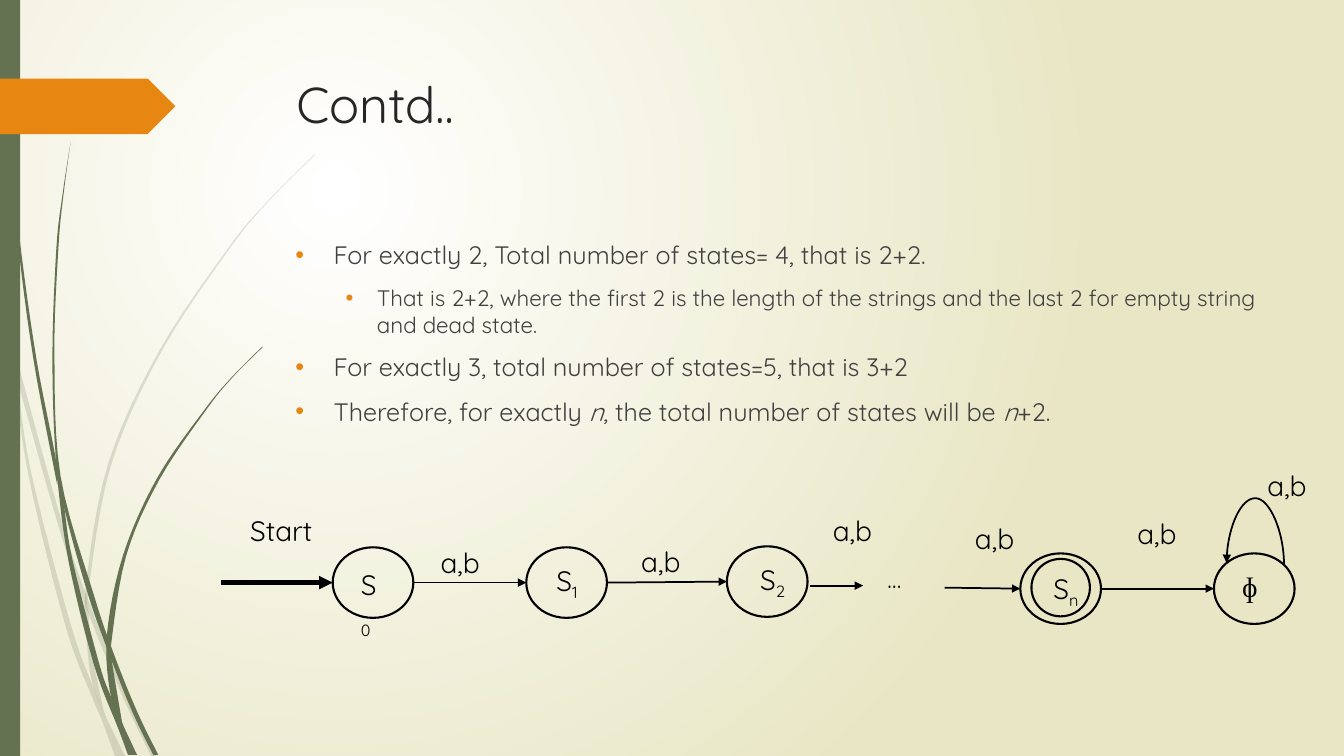
"""Build a slide on the number of states in an automaton for strings of exact length."""
from lxml.etree import SubElement
from pptx import Presentation
from pptx.dml.color import RGBColor
from pptx.enum.shapes import MSO_CONNECTOR, MSO_SHAPE
from pptx.oxml.ns import qn
from pptx.util import Inches, Pt

THEME = dict(green="647252", orange="E78712", ink="000000", title="262626", body="404040",
             white="FFFFFF", cream="E8E6C4", font="Quicksand", serif="Times New Roman",
             head=36, main=18, sub=16, mark=20)
WIDE, HIGH = 13.33, 7.5
OVAL = (0.8, 0.7)

BULLETS = [
    (0, [("For exactly 2, Total number of states= 4, that is 2+2.", False)]),
    (1, [("That is 2+2, where the first 2 is the length of the strings and the last 2 "
          "for empty string and dead state.", False)]),
    (0, [("For exactly 3, total number of states=5, that is 3+2", False)]),
    (0, [("Therefore, for exactly", False), (" n", True),
         (", the total number of states will be ", False), ("n", True), ("+2.", False)]),
]
LEVELS = [(0.38, 0.38, "main"), (0.81, 0.31, "sub")]

STATES = [
    ("S", "0", 3.70, 5.78, -0.22, -0.2, 0.4),
    ("S", "1", 5.62, 5.78, -0.2, -0.24, 0.49),
    ("S", "2", 7.61, 5.77, -0.17, -0.24, 0.49),
    ("S", "n", 10.52, 5.84, -0.17, -0.22, 0.49),
    ("\u0278", "", 12.44, 5.84, -0.22, -0.24, 0.49),
]
ARROWS = [
    (2.19, 5.78, 3.3, 5.78, 3.25),
    (4.11, 5.78, 5.22, 5.78, 1.25),
    (6.03, 5.78, 7.21, 5.77, 1.25),
    (8.03, 5.81, 8.56, 5.81, 1.25),
    (9.37, 5.83, 10.12, 5.84, 1.25),
    (10.93, 5.84, 12.04, 5.84, 1.25),
]
LABELS = [
    ("Start", 2.48, 5.05, "mark"), ("a,b", 4.37, 5.36, "mark"), ("a,b", 6.36, 5.35, "mark"),
    ("a,b", 8.26, 5.05, "mark"), ("\u2026", 8.8, 5.54, "main"), ("a,b", 9.67, 5.12, "mark"),
    ("a,b", 11.28, 5.07, "mark"), ("a,b", 12.57, 4.6, "mark"),
]

PALE = [
    ([(0, 2.99), (0.1, 3.44), (0.17, 3.76), (0.58, 5.22), (0.84, 5.99), (1.23, 6.94), (1.5, 7.5)],
     [(1.55, 7.5), (1.27, 6.92), (0.92, 6.07), (0.62, 5.2), (0.14, 3.45), (0, 2.82)]),
    ([(0.11, 3.5), (0.28, 4.7), (0.65, 6.21), (0.92, 6.93), (1.01, 7.14), (1.14, 7.5)],
     [(1.24, 7.5), (1.05, 7.11), (0.93, 6.83), (0.7, 6.19), (0.31, 4.69), (0.17, 3.76)]),
    ([(3.12, 1.53), (2.68, 1.97), (2.28, 2.44), (1.58, 3.48), (1.07, 4.61), (0.85, 5.84),
      (0.87, 6.46), (0.93, 6.83), (1.05, 7.11)],
     [(1.03, 7.06), (0.91, 6.46), (0.88, 6.1), (0.88, 5.84), (1.1, 4.62), (1.6, 3.49),
      (2.29, 2.45), (2.68, 1.98), (3.12, 1.54)]),
]
DARK = [
    ([(0.03, 0), (0.07, 1.1), (0.17, 2.33), (0.33, 3.55), (0.56, 4.77)],
     [(0.57, 4.81), (0.55, 4.53), (0.36, 3.55), (0.19, 2.32), (0.08, 1.09), (0.04, 0)]),
    ([(0.7, 1.41), (0.62, 1.93), (0.56, 2.45), (0.52, 3.49), (0.55, 4.49), (0.64, 5.05),
      (0.88, 5.92), (1.11, 6.56), (1.32, 7.08), (1.52, 7.49)],
     [(1.57, 7.49), (1.36, 7.06), (1.13, 6.49), (0.93, 5.9), (0.6, 4.72), (0.54, 3.49),
      (0.58, 2.45), (0.63, 1.93), (0.7, 1.41)]),
    ([(0.55, 4.49), (0.57, 4.77), (0.68, 5.57), (0.93, 6.59), (1.17, 7.22), (1.27, 7.49)],
     [(1.36, 7.49), (1.22, 7.19), (1.1, 6.91), (0.98, 6.57), (0.72, 5.56), (0.64, 5.05)]),
    ([(2.6, 3.44), (2.31, 3.73), (2.04, 4.05), (1.56, 4.74), (1.22, 5.51), (1.06, 6.31),
      (1.1, 6.91), (1.22, 7.19)],
     [(1.21, 7.16), (1.11, 6.56), (1.1, 6.41), (1.25, 5.52), (1.58, 4.76), (2.05, 4.06),
      (2.31, 3.74), (2.61, 3.44)]),
]

deck = Presentation()
deck.slide_width, deck.slide_height = Inches(WIDE), Inches(HIGH)
slide = deck.slides.add_slide(deck.slide_layouts[6])
shapes = slide.shapes


def tint(key):
    return RGBColor.from_string(THEME[key])


def curve(knots, steps=6):
    ends = [knots[0], *knots, knots[-1]]
    dots = []
    for a, b, c, d in zip(ends, ends[1:], ends[2:], ends[3:]):
        for t in (k / steps for k in range(steps)):
            dots.append(tuple(
                q + t * (r - p) / 2 + t * t * (2 * p - 5 * q + 4 * r - s) / 2
                + t ** 3 * (3 * q - p - 3 * r + s) / 2
                for p, q, r, s in zip(a, b, c, d)))
    return dots + [knots[-1]]


def paint(shape, fill):
    shape.shadow.inherit = False
    shape.fill.solid()
    shape.fill.fore_color.rgb = tint(fill)
    shape.line.fill.background()


def blade(sides, alpha):
    dots = [(Inches(x), Inches(y)) for side in sides for x, y in curve(side)]
    build = shapes.build_freeform(*dots[0])
    build.add_line_segments(dots[1:], close=True)
    leaf = build.convert_to_shape()
    paint(leaf, "green")
    if alpha < 100:
        color = leaf.fill._xPr.find(qn("a:solidFill"))[0]
        SubElement(color, qn("a:alpha"), val=str(alpha * 1000))


def oval(x, y, w, h):
    ring = shapes.add_shape(MSO_SHAPE.OVAL, Inches(x - w / 2), Inches(y - h / 2),
                            Inches(w), Inches(h))
    ring.shadow.inherit = False
    ring.fill.background()
    ring.line.color.rgb = tint("ink")
    ring.line.width = Pt(1.5)


def arrow(x1, y1, x2, y2, width, kind=MSO_CONNECTOR.STRAIGHT):
    link = shapes.add_connector(kind, *(Inches(v) for v in (x1, y1, x2, y2)))
    link.line.color.rgb = tint("ink")
    link.line.width = Pt(width)
    SubElement(link.line._get_or_add_ln(), qn("a:tailEnd"), type="triangle")
    SubElement(link._element.spPr, qn("a:effectLst"))
    return link


def box(x, y, w, h, pad=0.1, wrap=True):
    frame = shapes.add_textbox(*(Inches(v) for v in (x, y, w, h))).text_frame
    frame.word_wrap = wrap
    frame.margin_left = frame.margin_right = Inches(pad)
    return frame


def write(para, text, size, color="ink", font="font", italic=False, low=False):
    run = para.add_run()
    run.text = text
    run.font.name, run.font.size = THEME[font], Pt(THEME[size])
    run.font.color.rgb = tint(color)
    if italic:
        run.font.italic = True
    if low:
        run.font._element.set("baseline", "-25000")


def bullet(para, level):
    left, hang, size = LEVELS[level]
    para.level = level
    para.space_before = Pt(10)
    props = para._p.get_or_add_pPr()
    props.set("marL", str(Inches(left)))
    props.set("indent", str(-Inches(hang)))
    SubElement(SubElement(props, qn("a:buClr")), qn("a:srgbClr"), val=THEME["orange"])
    SubElement(props, qn("a:buFont"), typeface="Arial")
    SubElement(props, qn("a:buChar"), char="\u2022")
    return size


back = slide.background.fill
back.gradient()
for stop, key in zip(back.gradient_stops, ("white", "cream")):
    stop.color.rgb = tint(key)
    stop.position = float(key == "cream")
grad = slide.background._cSld.find(".//" + qn("a:gradFill"))
grad.remove(grad.find(qn("a:lin")))
SubElement(SubElement(grad, qn("a:path"), path="circle"), qn("a:fillToRect"),
           l="50000", t="50000", r="100000", b="100000")

for group, alpha in ((PALE, 20), (DARK, 100)):
    for sides in group:
        blade(sides, alpha)
for kind, y, w, h, fill in ((MSO_SHAPE.RECTANGLE, 0, 0.2, HIGH, "green"),
                            (MSO_SHAPE.PENTAGON, 0.78, 1.74, 0.55, "orange")):
    paint(shapes.add_shape(kind, 0, Inches(y), Inches(w), Inches(h)), fill)

write(box(2.84, 0.68, 9.75, 1.4).paragraphs[0], "Contd..", "head", "title")
frame = box(2.83, 2.33, 9.75, 2.2)
for n, (level, runs) in enumerate(BULLETS):
    para = frame.add_paragraph() if n else frame.paragraphs[0]
    size = bullet(para, level)
    for text, italic in runs:
        write(para, text, size, "body", italic=italic)

for name, index, x, y, dx, dy, w in STATES:
    oval(x, y, *OVAL)
    if index == "n":
        oval(x, y - 0.01, 0.58, 0.57)
    para = box(x + dx, y + dy, w, 0.44).paragraphs[0]
    write(para, name, "mark", font="font" if index else "serif")
    if index:
        write(para, index, "mark", low=True)
for ends in ARROWS:
    arrow(*ends)
loop = arrow(12.44, 5.88, 12.46, 5.31, 1.25, MSO_CONNECTOR.CURVE)
loop._element.spPr.find(qn("a:xfrm")).set("rot", "16200000")
guides = loop._element.spPr.find(qn("a:prstGeom")).find(qn("a:avLst"))
SubElement(guides, qn("a:gd"), name="adj1", fmla="val 3300000")
for text, x, y, size in LABELS:
    write(box(x, y, 0.65, 0.44, pad=0, wrap=False).paragraphs[0], text, size)

deck.save("out.pptx")
